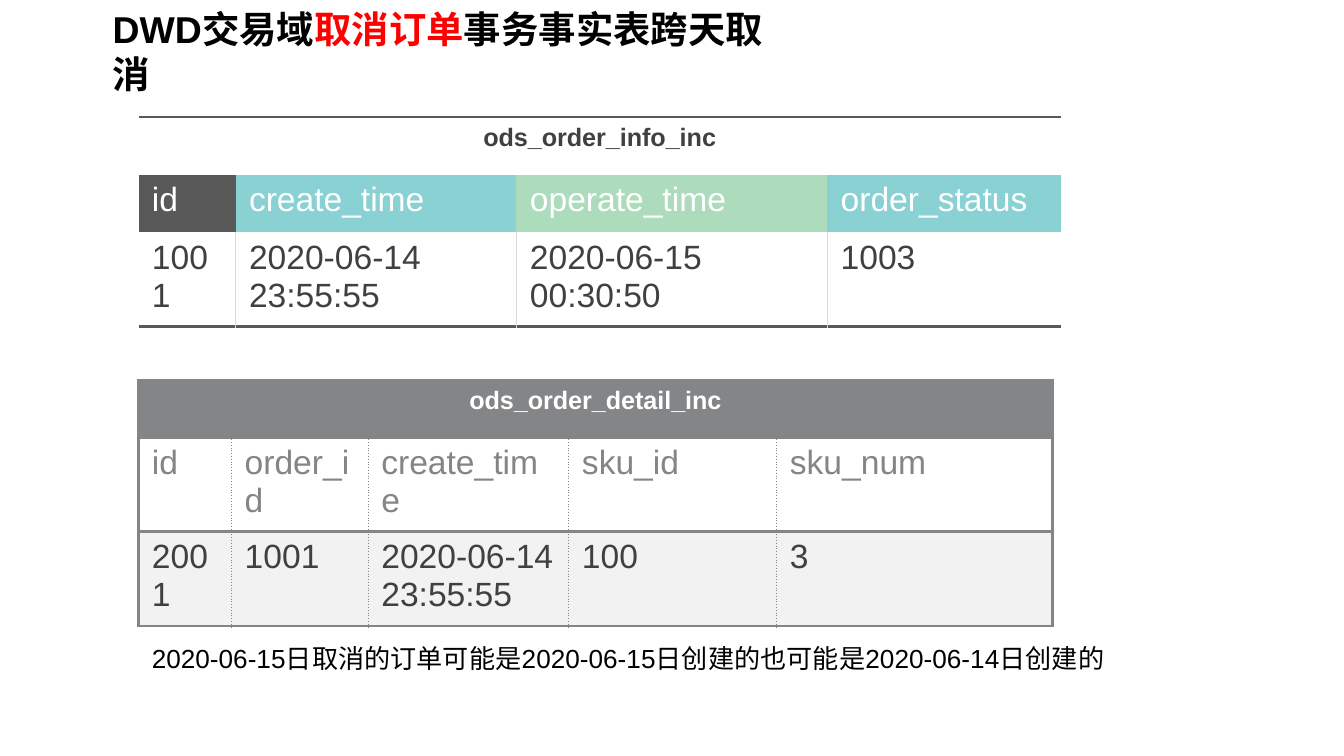
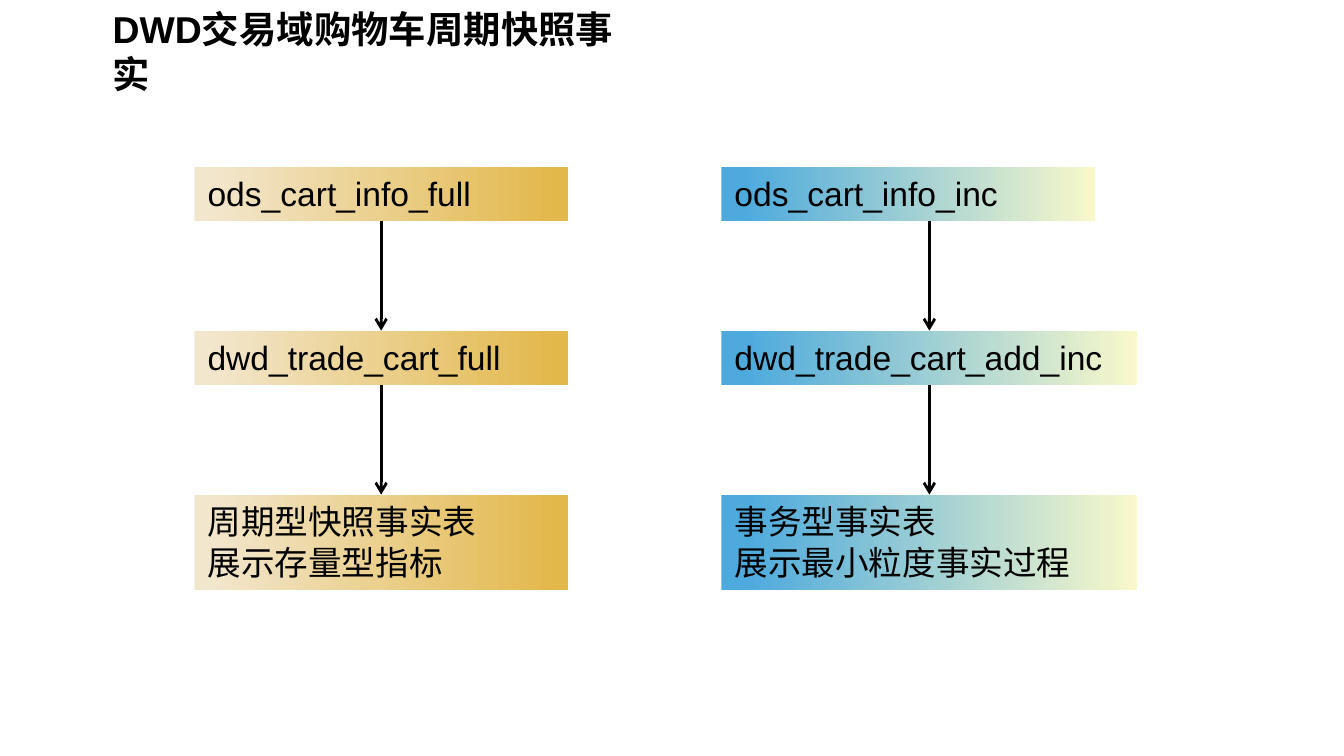
from lxml.etree import SubElement
from pptx import Presentation
from pptx.dml.color import RGBColor
from pptx.enum.shapes import MSO_CONNECTOR as CONN, MSO_SHAPE as SHAPE
from pptx.enum.text import MSO_ANCHOR as ANCHOR, MSO_AUTO_SIZE as AUTO, PP_ALIGN as ALIGN
from pptx.oxml.ns import qn
from pptx.util import Pt

FONT = "Arial"
NO_GRID_STYLE = "{2D5ABB26-0587-4C30-8999-92F81FD0307C}"
BLACK = RGBColor(0x00, 0x00, 0x00)
WHITE = RGBColor(0xFF, 0xFF, 0xFF)
RED = RGBColor(0xFF, 0x00, 0x00)
INK = RGBColor(0x40, 0x40, 0x40)
DARK = RGBColor(0x59, 0x59, 0x59)
TEAL = RGBColor(0x89, 0xD1, 0xD3)
GREEN = RGBColor(0xAC, 0xDC, 0xBC)
RULE = RGBColor(0xD9, 0xD9, 0xD9)
GRAY = RGBColor(0x84, 0x85, 0x87)
PALE = RGBColor(0xF2, 0xF2, 0xF2)
GOLD = ((0.04, RGBColor(0xF2, 0xE6, 0xCD)), (0.97, RGBColor(0xE3, 0xB8, 0x4B)))
BLUE = ((0.06, RGBColor(0x4E, 0xAA, 0xDD)), (1.0, RGBColor(0xF9, 0xF8, 0xCA)))

FLOW_TOP, FLOW_STEP = 89.3, 87.85
LINE_BOX, NOTE_BOX = 29.1, 51.1


def style_run(r, size, color, bold=False):
    r.font.name = FONT
    r.font.size = Pt(size)
    r.font.bold = bold
    r.font.color.rgb = color


def add_text(slide, left, top, width, height, parts, size, bold=False):
    sp = slide.shapes.add_textbox(Pt(left), Pt(top), Pt(width), Pt(height))
    tf = sp.text_frame
    tf.word_wrap = True
    tf.auto_size = AUTO.SHAPE_TO_FIT_TEXT
    for text, color in parts:
        r = tf.paragraphs[0].add_run()
        r.text = text
        style_run(r, size, color, bold)


def add_title(slide, width, parts):
    add_text(slide, 53.3, 0, width, 31.5, parts, 20, True)


def set_border(cell, side, color, width, dash="solid"):
    tc_pr = cell._tc.get_or_add_tcPr()
    ln = SubElement(tc_pr, qn(f"a:ln{side}"), w=str(Pt(width)))
    fill = SubElement(ln, qn("a:solidFill"))
    SubElement(fill, qn("a:srgbClr"), val=str(color))
    SubElement(ln, qn("a:prstDash"), val=dash)


def info_borders(row, col, last_col):
    borders = {}
    if row == 2:
        if col > 0:
            borders["L"] = (RULE, 1 if col == 1 else 0.5)
        if col < last_col:
            borders["R"] = (RULE, 1 if col == 0 else 0.5)
        borders["B"] = (DARK, 1.5)
    elif row == 0:
        borders["T"] = (DARK, 1.5)
    return borders


def detail_borders(row, col, last_col):
    solid, dotted = (GRAY, 1.5), (GRAY, 0.25, "dot")
    return {
        "L": solid if row == 0 or col == 0 else dotted,
        "R": solid if row == 0 or col == last_col else dotted,
        "T": solid,
        "B": solid,
    }


def add_data_table(slide, top, widths, heights, rows, fills, colors, borders):
    frame = slide.shapes.add_table(len(heights), len(widths), Pt(74.2), Pt(top),
                                   Pt(sum(widths)), Pt(sum(heights)))
    table = frame.table
    table.first_row = table.horz_banding = False
    table._tbl.tblPr.find(qn("a:tableStyleId")).text = NO_GRID_STYLE
    for column, width in zip(table.columns, widths):
        column.width = Pt(width)
    for row, height in zip(table.rows, heights):
        row.height = Pt(height)
    last_col = len(widths) - 1
    table.cell(0, 0).merge(table.cell(0, last_col))
    for i, texts in enumerate(rows):
        for j in range(last_col + 1):
            cell = table.cell(i, j)
            for side, border in borders(i, j, last_col).items():
                set_border(cell, side, *border)
            cell.fill.solid()
            cell.fill.fore_color.rgb = fills[i][j % len(fills[i])]
            if j < len(texts):
                p = cell.text_frame.paragraphs[0]
                p.text = texts[j]
                style_run(p.runs[0], 18 if i else 13.5, colors[i], i == 0)
                if i == 0:
                    p.alignment = ALIGN.CENTER


def add_box(slide, left, top, width, height, text, stops):
    sp = slide.shapes.add_shape(SHAPE.RECTANGLE, Pt(left), Pt(top), Pt(width), Pt(height))
    sp.shadow.inherit = False
    sp.line.fill.background()
    sp.fill.gradient()
    sp.fill.gradient_angle = 0
    for stop, (position, color) in zip(sp.fill.gradient_stops, stops):
        stop.position = position
        stop.color.rgb = color
    tf = sp.text_frame
    tf.word_wrap = True
    tf.auto_size = AUTO.SHAPE_TO_FIT_TEXT
    tf.vertical_anchor = ANCHOR.TOP
    tf.text = text
    for p in tf.paragraphs:
        p.alignment = ALIGN.LEFT
        style_run(p.runs[0], 18, BLACK)
    return sp


def add_arrow(slide, upper, lower):
    x = lower.left + lower.width // 2
    cx = slide.shapes.add_connector(CONN.STRAIGHT, x, upper.top + upper.height, x, lower.top)
    if (upper.left, upper.width) == (lower.left, lower.width):
        cx.begin_connect(upper, 2)
    cx.end_connect(lower, 0)
    cx.line.color.rgb = BLACK
    cx.line.width = Pt(1.5)
    SubElement(cx.line._get_or_add_ln(), qn("a:tailEnd"), type="arrow")
    SubElement(cx._element.spPr, qn("a:effectLst"))


def add_flow(slide, left, widths, texts, stops):
    heights = (LINE_BOX, LINE_BOX, NOTE_BOX)
    boxes = [add_box(slide, left, FLOW_TOP + i * FLOW_STEP, width, height, text, stops)
             for i, (width, height, text) in enumerate(zip(widths, heights, texts))]
    for upper, lower in zip(boxes, boxes[1:]):
        add_arrow(slide, upper, lower)


def build_cancel_slide(slide):
    add_title(slide, 382.3, [("DWD交易域", BLACK), ("取消订单", RED),
                             ("事务事实表跨天取消", BLACK)])
    add_data_table(
        slide, 62.6, (52, 150.5, 166.5, 125.2), (31, 31, 41),
        [("ods_order_info_inc",),
         ("id", "create_time", "operate_time", "order_status"),
         ("1001", "2020-06-14 23:55:55", "2020-06-15 00:30:50", "1003")],
        [(WHITE,), (DARK, TEAL, GREEN, TEAL), (WHITE,)],
        (INK, WHITE, INK), info_borders)
    add_data_table(
        slide, 203.8, (49.7, 73.2, 107.5, 111.4, 147.8), (30.6, 39, 40),
        [("ods_order_detail_inc",),
         ("id", "order_id", "create_time", "sku_id", "sku_num"),
         ("2001", "1001", "2020-06-14 23:55:55", "100", "3")],
        [(GRAY,), (WHITE,), (PALE,)],
        (WHITE, GRAY, INK), detail_borders)
    note = "2020-06-15日取消的订单可能是2020-06-15日创建的也可能是2020-06-14日创建的"
    add_text(slide, 74.2, 340.6, 534.2, 24.2, [(note, BLACK)], 14)


def build_cart_slide(slide):
    add_title(slide, 302.4, [("DWD交易域购物车周期快照事实", BLACK)])
    add_flow(slide, 104.1, (200.2, 200.2, 200.2),
             ("ods_cart_info_full", "dwd_trade_cart_full",
              "周期型快照事实表\n展示存量型指标"), GOLD)
    add_flow(slide, 386.4, (200.2, 223, 223),
             ("ods_cart_info_inc", "dwd_trade_cart_add_inc",
              "事务型事实表\n展示最小粒度事实过程"), BLUE)


def main():
    prs = Presentation()
    prs.slide_width, prs.slide_height = Pt(720), Pt(405)
    for build in (build_cancel_slide, build_cart_slide):
        build(prs.slides.add_slide(prs.slide_layouts[6]))
    prs.save("out.pptx")


if __name__ == "__main__":
    main()
